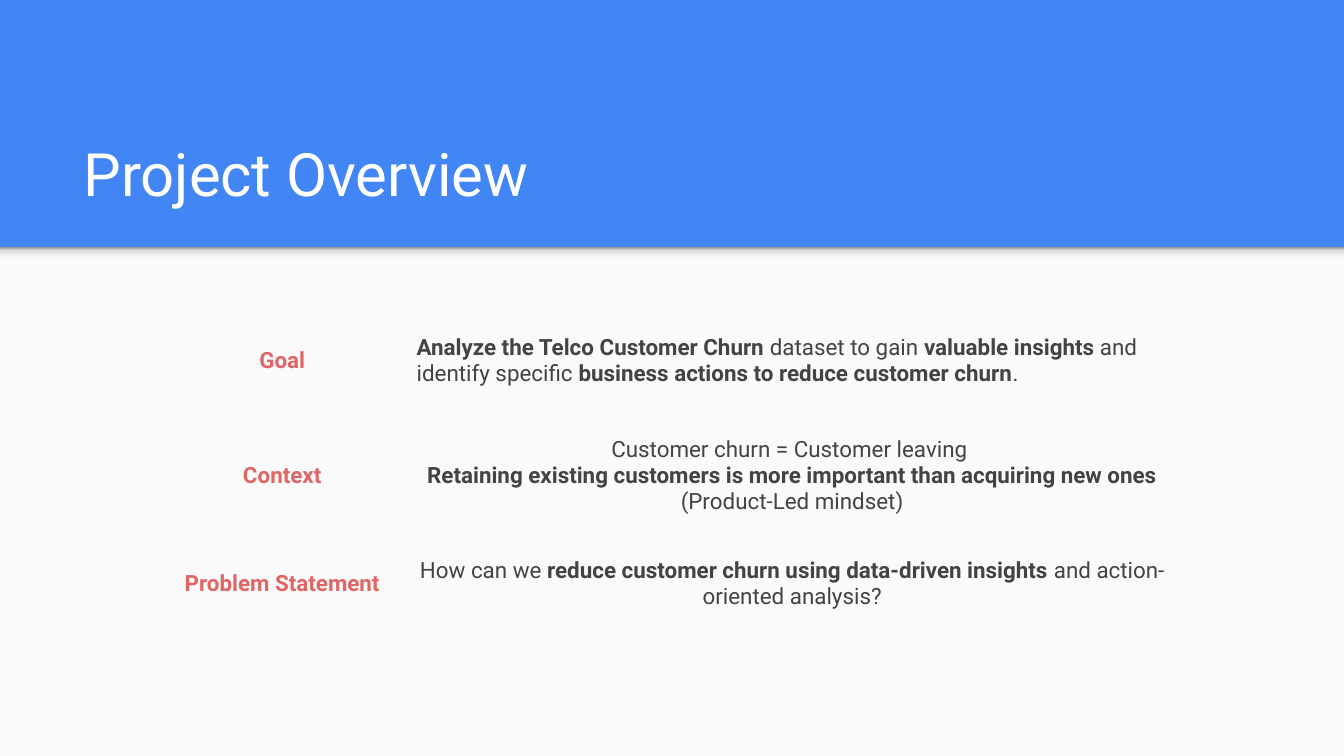
from dataclasses import dataclass

from lxml.etree import SubElement
from pptx import Presentation
from pptx.dml.color import RGBColor
from pptx.enum.shapes import MSO_SHAPE as Shape
from pptx.enum.text import MSO_ANCHOR as Anchor, MSO_AUTO_SIZE as AutoSize, PP_ALIGN as Align
from pptx.oxml.ns import qn
from pptx.util import Inches, Pt

COLORS = {
    "blue": "4285F4",
    "panel": "FAFAFA",
    "title": "FFFFFF",
    "label": "E06666",
    "body": "434343",
}
SHADOW_STOPS = [(0, "F9F9F9"), (36, "F9F9F9"), (80, "DEDEDE"), (100, "999999")]
FONT = "Roboto"
PLAIN_TABLE_STYLE = "{2D5ABB26-0587-4C30-8999-92F81FD0307C}"
SLIDE_WIDTH = 10
SLIDE_HEIGHT = SLIDE_WIDTH * 9 / 16
BAND_BOTTOM = 1.84
COLUMN_WIDTHS = [1.8, 5.79]


@dataclass
class Span:
    text: str
    bold: bool = False


@dataclass
class Topic:
    label: str
    height: float
    paragraphs: list[list[Span]]
    align: Align = Align.CENTER


TOPICS = [
    Topic("Goal", 0.79, [[
        Span("Analyze the Telco Customer Churn", True),
        Span(" dataset to gain "),
        Span("valuable insights", True),
        Span(" and identify specific "),
        Span("business actions to reduce customer churn", True),
        Span("."),
    ]], Align.LEFT),
    Topic("Context", 0.92, [
        [Span("Customer churn = Customer leaving ")],
        [
            Span("Retaining existing customers is more important than acquiring new ones", True),
            Span(" (Product-Led mindset)"),
        ],
    ]),
    Topic("Problem Statement", 0.69, [[
        Span("How can we "),
        Span("reduce customer churn using data-driven insights", True),
        Span(" and action-oriented analysis?"),
    ]]),
]


def color(name: str) -> RGBColor:
    return RGBColor.from_string(COLORS[name])


def set_margins(target) -> None:
    target.margin_left = target.margin_right = Inches(0.1)
    target.margin_top = target.margin_bottom = Inches(0.1)


def style_paragraph(para, size: float, color_name: str, align: Align) -> None:
    para.alignment = align
    para.font.name = FONT
    para.font.size = Pt(size)
    para.font.color.rgb = color(color_name)


def add_band(slide, top: float, height: float):
    band = slide.shapes.add_shape(
        Shape.RECTANGLE, 0, Inches(top), Inches(SLIDE_WIDTH), Inches(height)
    )
    band.shadow.inherit = False
    band.line.fill.background()
    return band


def add_background(slide) -> None:
    slide.background.fill.solid()
    slide.background.fill.fore_color.rgb = color("blue")
    panel = add_band(slide, BAND_BOTTOM, SLIDE_HEIGHT - BAND_BOTTOM)
    panel.fill.solid()
    panel.fill.fore_color.rgb = color("panel")

    edge = add_band(slide, BAND_BOTTOM, 0.12)
    edge.fill.gradient()
    edge.fill.gradient_angle = 90
    stops = edge._element.spPr.find(qn("a:gradFill")).find(qn("a:gsLst"))
    stops.clear()
    for position, value in SHADOW_STOPS:
        stop = SubElement(stops, qn("a:gs"), pos=str(position * 1000))
        SubElement(stop, qn("a:srgbClr"), val=value)


def add_title(slide, text: str) -> None:
    title = slide.shapes.title
    title.left, title.top = Inches(0.52), Inches(0.81)
    title.width, title.height = Inches(8.99), Inches(0.84)
    frame = title.text_frame
    frame.text = text
    frame.auto_size = AutoSize.NONE
    frame.vertical_anchor = Anchor.BOTTOM
    set_margins(frame)
    style_paragraph(frame.paragraphs[0], 32, "title", Align.LEFT)


def fill_cell(cell, paragraphs: list[list[Span]], color_name: str, align: Align) -> None:
    cell.fill.background()
    cell.vertical_anchor = Anchor.MIDDLE
    set_margins(cell)
    frame = cell.text_frame
    for index, spans in enumerate(paragraphs):
        para = frame.add_paragraph() if index else frame.paragraphs[0]
        style_paragraph(para, 12, color_name, align)
        for span in spans:
            run = para.add_run()
            run.text = span.text
            run.font.bold = span.bold


def add_topics(slide, topics: list[Topic]) -> None:
    frame = slide.shapes.add_table(
        len(topics), len(COLUMN_WIDTHS), Inches(1.2), Inches(2.29),
        Inches(sum(COLUMN_WIDTHS)), Inches(sum(topic.height for topic in topics)),
    )
    table = frame.table
    table.first_row = table.horz_banding = False
    table._tbl.tblPr.find(qn("a:tableStyleId")).text = PLAIN_TABLE_STYLE
    for column, width in zip(table.columns, COLUMN_WIDTHS):
        column.width = Inches(width)
    for row, topic in zip(table.rows, topics):
        row.height = Inches(topic.height)
        label, body = row.cells
        fill_cell(label, [[Span(topic.label, True)]], "label", Align.CENTER)
        fill_cell(body, topic.paragraphs, "body", topic.align)


def main() -> None:
    deck = Presentation()
    deck.slide_width, deck.slide_height = Inches(SLIDE_WIDTH), Inches(SLIDE_HEIGHT)
    slide = deck.slides.add_slide(deck.slide_layouts[5])
    add_background(slide)
    add_title(slide, "Project Overview")
    add_topics(slide, TOPICS)
    deck.save("out.pptx")


if __name__ == "__main__":
    main()
